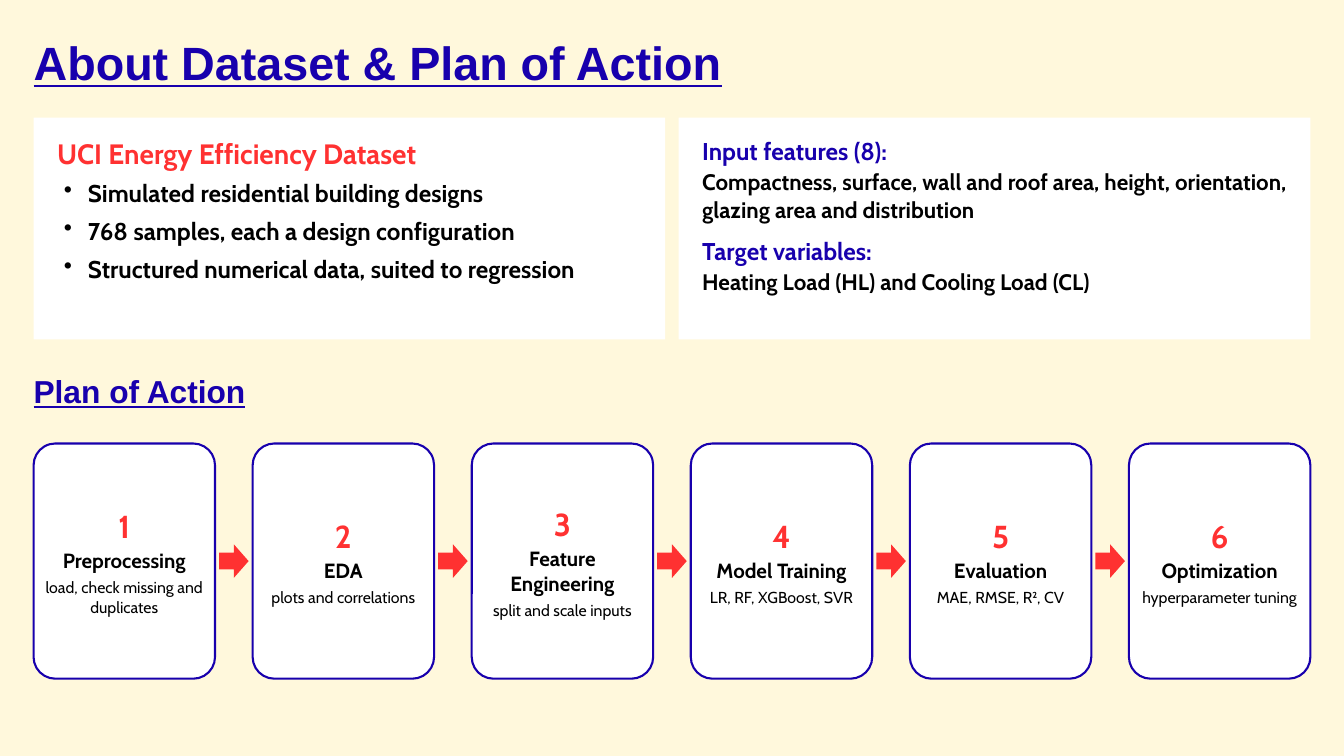
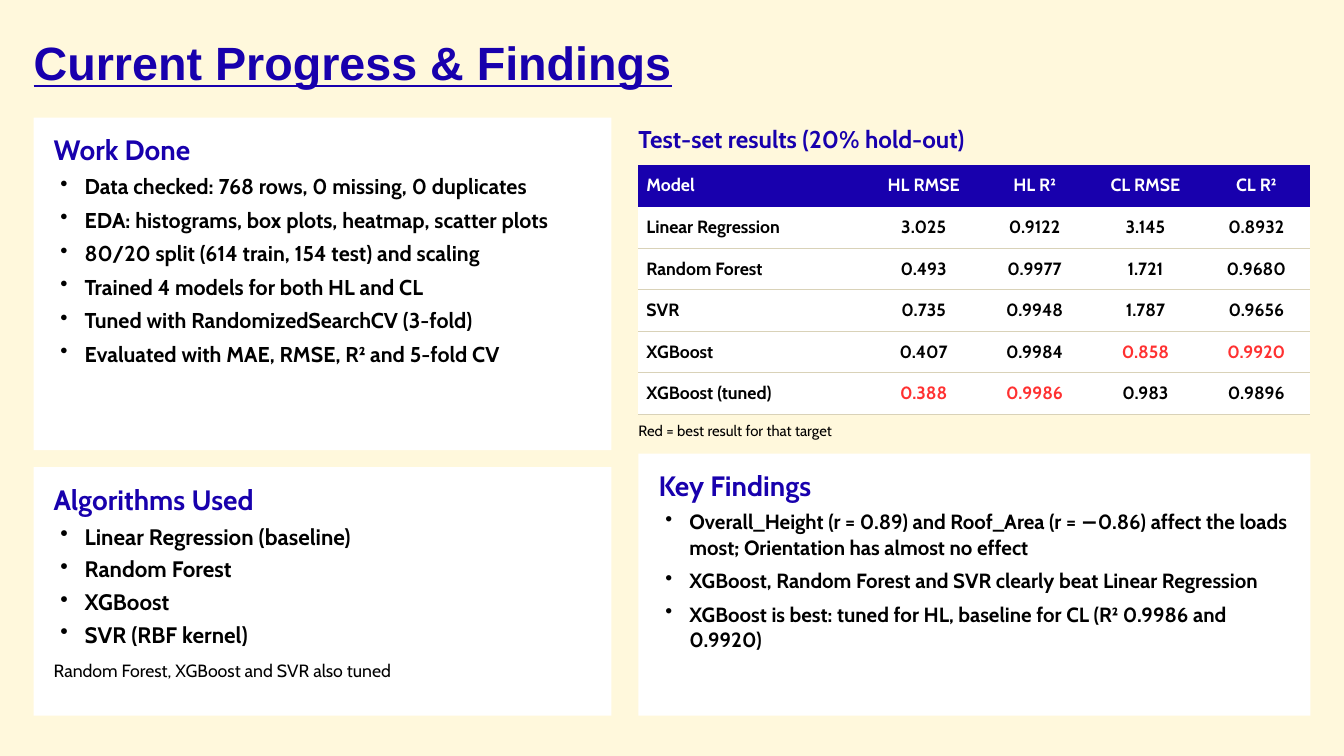
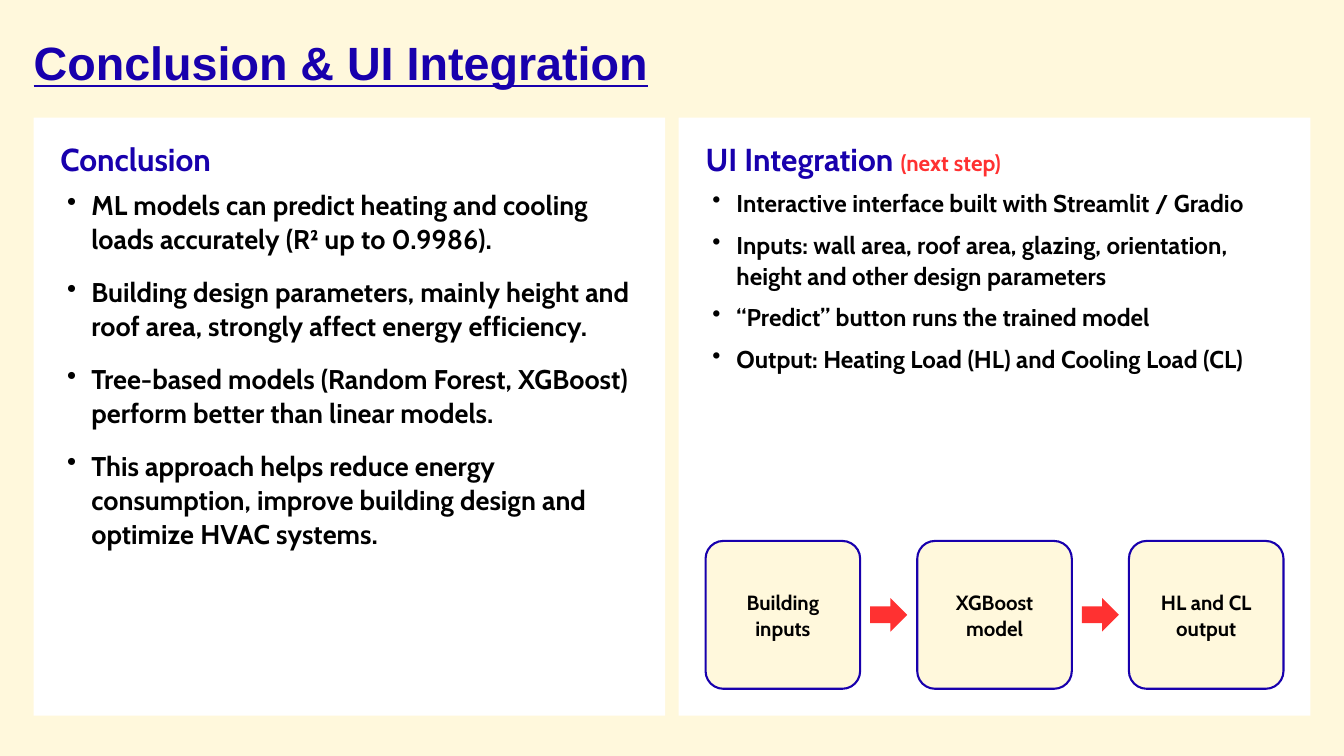
from dataclasses import dataclass

from lxml.etree import SubElement
from pptx import Presentation
from pptx.dml.color import RGBColor
from pptx.enum.shapes import MSO_SHAPE
from pptx.enum.text import MSO_ANCHOR, MSO_AUTO_SIZE, PP_ALIGN
from pptx.oxml import parse_xml
from pptx.oxml.ns import nsdecls, qn
from pptx.util import Inches, Pt

CREAM, WHITE, BLACK = "FFF8DC", "FFFFFF", "000000"
BLUE, RED, RULE = "1800AD", "FF3131", "D9D2B8"
HEADING_FONT, BODY_FONT = "Arial", "Cabin"
NO_TABLE_STYLE = "{2D5ABB26-0587-4C30-8999-92F81FD0307C}"
LEFT, TOP, CONTENT_WIDTH, BOTTOM = 0.5, 1.75, 19, 10.65
HALF_WIDTH, HALF_RIGHT = 9.4, 10.1
PROGRESS_WIDTH, RESULTS_LEFT, RESULTS_WIDTH = 8.6, 9.5, 10
PROGRESS_MARGINS = (0.3, 0.2, 0.3, 0.15)
DATASET_MARGINS = (0.35, 0.25, 0.35, 0.2)
CONCLUSION_MARGINS = (0.4, 0.3, 0.4, 0.2)


@dataclass
class Line:
    text: str
    size: float
    color: str = BLACK
    after: float = 0
    before: float = 0
    bold: bool = True
    bullet: bool = False
    underline: bool = False
    font: str = BODY_FONT
    tail: tuple = ()


def bullets(texts, size, after):
    return [Line(text, size, after=after, bullet=True) for text in texts]


DATASET = [Line("UCI Energy Efficiency Dataset", 30, RED, 8)] + bullets([
    "Simulated residential building designs",
    "768 samples, each a design configuration",
    "Structured numerical data, suited to regression",
], 26, 8)
VARIABLES = [
    Line("Input features (8):", 26, BLUE, 2),
    Line("Compactness, surface, wall and roof area, height, orientation, "
         "glazing area and distribution", 24, after=12),
    Line("Target variables:", 26, BLUE, 2),
    Line("Heating Load (HL) and Cooling Load (CL)", 24),
]
STEPS = [
    ("Preprocessing", "load, check missing and duplicates"),
    ("EDA", "plots and correlations"),
    ("Feature Engineering", "split and scale inputs"),
    ("Model Training", "LR, RF, XGBoost, SVR"),
    ("Evaluation", "MAE, RMSE, R², CV"),
    ("Optimization", "hyperparameter tuning"),
]
WORK_DONE = [Line("Work Done", 30, BLUE, 6)] + bullets([
    "Data checked: 768 rows, 0 missing, 0 duplicates",
    "EDA: histograms, box plots, heatmap, scatter plots",
    "80/20 split (614 train, 154 test) and scaling",
    "Trained 4 models for both HL and CL",
    "Tuned with RandomizedSearchCV (3-fold)",
    "Evaluated with MAE, RMSE, R² and 5-fold CV",
], 23, 7)
ALGORITHMS = [Line("Algorithms Used", 30, BLUE, 6)] + bullets([
    "Linear Regression (baseline)",
    "Random Forest",
    "XGBoost",
    "SVR (RBF kernel)",
], 24, 5) + [Line("Random Forest, XGBoost and SVR also tuned", 19, before=6, bold=False)]
RESULTS = [
    ("Model", "HL RMSE", "HL R²", "CL RMSE", "CL R²"),
    ("Linear Regression", "3.025", "0.9122", "3.145", "0.8932"),
    ("Random Forest", "0.493", "0.9977", "1.721", "0.9680"),
    ("SVR", "0.735", "0.9948", "1.787", "0.9656"),
    ("XGBoost", "0.407", "0.9984", "0.858", "0.9920"),
    ("XGBoost (tuned)", "0.388", "0.9986", "0.983", "0.9896"),
]
BEST_RESULTS = {"0.858", "0.9920", "0.388", "0.9986"}
RESULT_COLUMNS = [3.4] + [1.65] * 4
RESULT_ROW = 0.62
FINDINGS = [Line("Key Findings", 30, BLUE, 6)] + bullets([
    "Overall_Height (r = 0.89) and Roof_Area (r = −0.86) affect the loads most; "
    "Orientation has almost no effect",
    "XGBoost, Random Forest and SVR clearly beat Linear Regression",
    "XGBoost is best: tuned for HL, baseline for CL (R² 0.9986 and 0.9920)",
], 22, 8)
CONCLUSION = [Line("Conclusion", 34, BLUE, 10)] + bullets([
    "ML models can predict heating and cooling loads accurately (R² up to 0.9986).",
    "Building design parameters, mainly height and roof area, strongly affect energy efficiency.",
    "Tree-based models (Random Forest, XGBoost) perform better than linear models.",
    "This approach helps reduce energy consumption, improve building design and "
    "optimize HVAC systems.",
], 29, 20)
INTEGRATION = [Line("UI Integration ", 34, BLUE, 10, tail=("(next step)", 24, RED))] + bullets([
    "Interactive interface built with Streamlit / Gradio",
    "Inputs: wall area, roof area, glazing, orientation, height and other design parameters",
    "“Predict” button runs the trained model",
    "Output: Heating Load (HL) and Cooling Load (CL)",
], 26, 12)
PREDICTION_STAGES = ["Building inputs", "XGBoost model", "HL and CL output"]


def rgb(color):
    return RGBColor.from_string(color)


def style_span(span, line, size, color):
    span.font.name = line.font
    span.font.size = Pt(size)
    span.font.color.rgb = rgb(color)
    span.font.bold = line.bold
    span.font.underline = line.underline


def write_line(para, line, align=PP_ALIGN.LEFT, spacing=1.05):
    para.text = line.text
    if line.bullet:
        properties = para._p.get_or_add_pPr()
        properties.set("marL", str(Inches(0.46)))
        properties.set("indent", str(Inches(-0.36)))
        SubElement(properties, qn("a:buChar"), char="•")
    para.alignment = align
    para.line_spacing = spacing
    para.space_before, para.space_after = Pt(line.before), Pt(line.after)
    style_span(para.runs[0], line, line.size, line.color)
    if line.tail:
        text, size, color = line.tail
        span = para.add_run()
        span.text = text
        style_span(span, line, size, color)


def set_margins(target, margins):
    (target.margin_left, target.margin_top,
     target.margin_right, target.margin_bottom) = map(Inches, margins)


def fill_frame(frame, lines, margins, anchor, align=PP_ALIGN.LEFT):
    frame.word_wrap = True
    frame.auto_size = MSO_AUTO_SIZE.NONE
    frame.vertical_anchor = anchor
    set_margins(frame, margins)
    for index, line in enumerate(lines):
        para = frame.add_paragraph() if index else frame.paragraphs[0]
        write_line(para, line, align)


def add_label(page, line, left, top, width, height):
    box = page.shapes.add_textbox(*map(Inches, (left, top, width, height)))
    fill_frame(box.text_frame, [line], (0, 0, 0, 0), MSO_ANCHOR.MIDDLE)


def add_filled(page, kind, color, left, top, width, height):
    shape = page.shapes.add_shape(kind, *map(Inches, (left, top, width, height)))
    shape.shadow.inherit = False
    shape.fill.solid()
    shape.fill.fore_color.rgb = rgb(color)
    shape.line.fill.background()
    return shape


def add_card(page, lines, margins, left, top, width, height):
    card = add_filled(page, MSO_SHAPE.RECTANGLE, WHITE, left, top, width, height)
    fill_frame(card.text_frame, lines, margins, MSO_ANCHOR.TOP)


def add_flow(page, stages, color, margin, left, top, width, height, gap, arrow_width):
    arrow_height = 0.5
    for index, lines in enumerate(stages):
        stage_left = left + index * (width + gap)
        stage = add_filled(page, MSO_SHAPE.ROUNDED_RECTANGLE, color,
                           stage_left, top, width, height)
        stage.adjustments[0] = 0.12
        stage.line.color.rgb = rgb(BLUE)
        stage.line.width = Pt(2.25)
        fill_frame(stage.text_frame, lines, (margin,) * 4, MSO_ANCHOR.MIDDLE, PP_ALIGN.CENTER)
        if index < len(stages) - 1:
            add_filled(page, MSO_SHAPE.RIGHT_ARROW, RED,
                       stage_left + width + (gap - arrow_width) / 2,
                       top + (height - arrow_height) / 2, arrow_width, arrow_height)


def add_bottom_border(cell, color):
    border = parse_xml(
        f'<a:lnB {nsdecls("a")} w="{Pt(1)}"><a:solidFill><a:srgbClr val="{color}"/>'
        '</a:solidFill></a:lnB>')
    cell._tc.get_or_add_tcPr().insert(0, border)


def result_color(row, value):
    if row == 0:
        return WHITE
    return RED if value in BEST_RESULTS else BLACK


def add_results(page, left, top):
    frame = page.shapes.add_table(
        len(RESULTS), len(RESULT_COLUMNS), Inches(left), Inches(top),
        Inches(RESULTS_WIDTH), Inches(RESULT_ROW * len(RESULTS)))
    table = frame.table
    table._tbl.tblPr.find(qn("a:tableStyleId")).text = NO_TABLE_STYLE
    table.horz_banding = False
    for column, width in zip(table.columns, RESULT_COLUMNS):
        column.width = Inches(width)
    for row, values in enumerate(RESULTS):
        table.rows[row].height = Inches(RESULT_ROW)
        for column, value in enumerate(values):
            cell = table.cell(row, column)
            cell.fill.solid()
            cell.fill.fore_color.rgb = rgb(WHITE if row else BLUE)
            add_bottom_border(cell, RULE if row else BLUE)
            cell.vertical_anchor = MSO_ANCHOR.MIDDLE
            set_margins(cell, (0.12, 0.04, 0.08, 0.04))
            write_line(cell.text_frame.paragraphs[0],
                       Line(value, 19, result_color(row, value)),
                       PP_ALIGN.CENTER if column else PP_ALIGN.LEFT, 1.0)


def heading(text, size):
    return Line(text, size, BLUE, underline=True, font=HEADING_FONT)


def add_page(deck, title_text):
    page = deck.slides.add_slide(deck.slide_layouts[5])
    title = page.shapes.title
    title.left, title.top, title.width, title.height = map(
        Inches, (LEFT, 0.3, CONTENT_WIDTH, 1.25))
    fill_frame(title.text_frame, [heading(title_text, 50)], (0, 0, 0, 0), MSO_ANCHOR.MIDDLE)
    title.text_frame.paragraphs[0].line_spacing = 1.0
    return page


def build_plan(deck):
    page = add_page(deck, "About Dataset & Plan of Action")
    for left, lines in ((LEFT, DATASET), (HALF_RIGHT, VARIABLES)):
        add_card(page, lines, DATASET_MARGINS, left, TOP, HALF_WIDTH, 3.3)
    add_label(page, heading("Plan of Action", 34), LEFT, 5.4, CONTENT_WIDTH, 0.8)
    stages = [
        [Line(str(number), 34, RED, 2), Line(name, 22, after=4), Line(detail, 17, bold=False)]
        for number, (name, detail) in enumerate(STEPS, 1)
    ]
    add_flow(page, stages, WHITE, 0.08, LEFT, 6.6, 2.7, 3.5, gap=0.56, arrow_width=0.44)


def build_progress(deck):
    page = add_page(deck, "Current Progress & Findings")
    for lines, left, top, width, bottom in (
        (WORK_DONE, LEFT, TOP, PROGRESS_WIDTH, 6.7),
        (ALGORITHMS, LEFT, 6.95, PROGRESS_WIDTH, BOTTOM),
        (FINDINGS, RESULTS_LEFT, 6.75, RESULTS_WIDTH, BOTTOM),
    ):
        add_card(page, lines, PROGRESS_MARGINS, left, top, width, bottom - top)
    add_label(page, Line("Test-set results (20% hold-out)", 26, BLUE),
              RESULTS_LEFT, TOP, RESULTS_WIDTH, 0.6)
    add_results(page, RESULTS_LEFT, 2.45)
    add_label(page, Line("Red = best result for that target", 16, bold=False),
              RESULTS_LEFT, 6.2, RESULTS_WIDTH, 0.4)


def build_conclusion(deck):
    page = add_page(deck, "Conclusion & UI Integration")
    for left, lines in ((LEFT, CONCLUSION), (HALF_RIGHT, INTEGRATION)):
        add_card(page, lines, CONCLUSION_MARGINS, left, TOP, HALF_WIDTH, BOTTOM - TOP)
    stages = [[Line(name, 22)] for name in PREDICTION_STAGES]
    add_flow(page, stages, CREAM, 0.1, 10.5, 8.05, 2.3, 2.2, gap=0.85, arrow_width=0.55)


def main():
    deck = Presentation()
    deck.slide_width, deck.slide_height = Inches(20), Inches(11.25)
    background = deck.slide_master.background.fill
    background.solid()
    background.fore_color.rgb = rgb(CREAM)
    build_plan(deck)
    build_progress(deck)
    build_conclusion(deck)
    deck.save("out.pptx")


if __name__ == "__main__":
    main()
